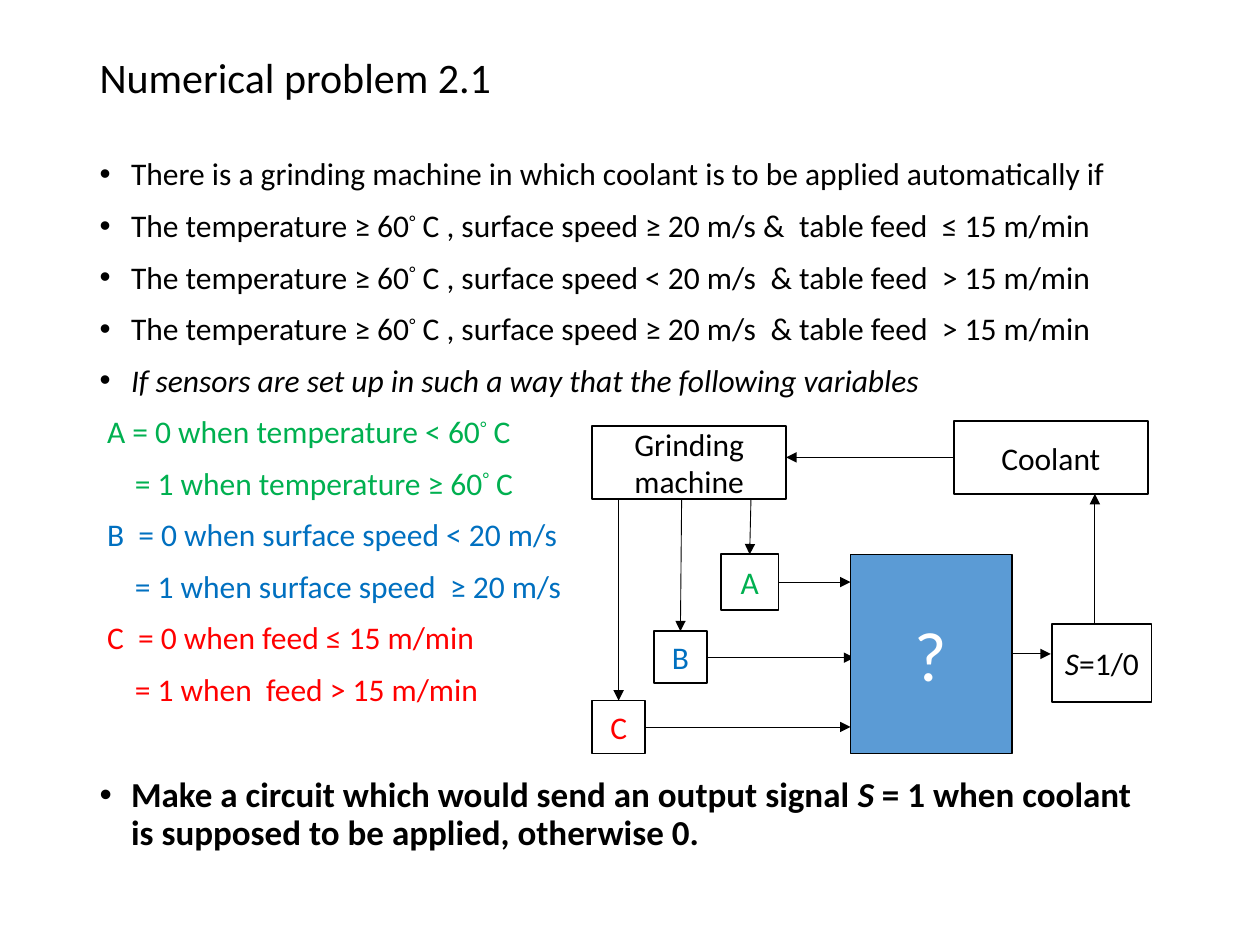
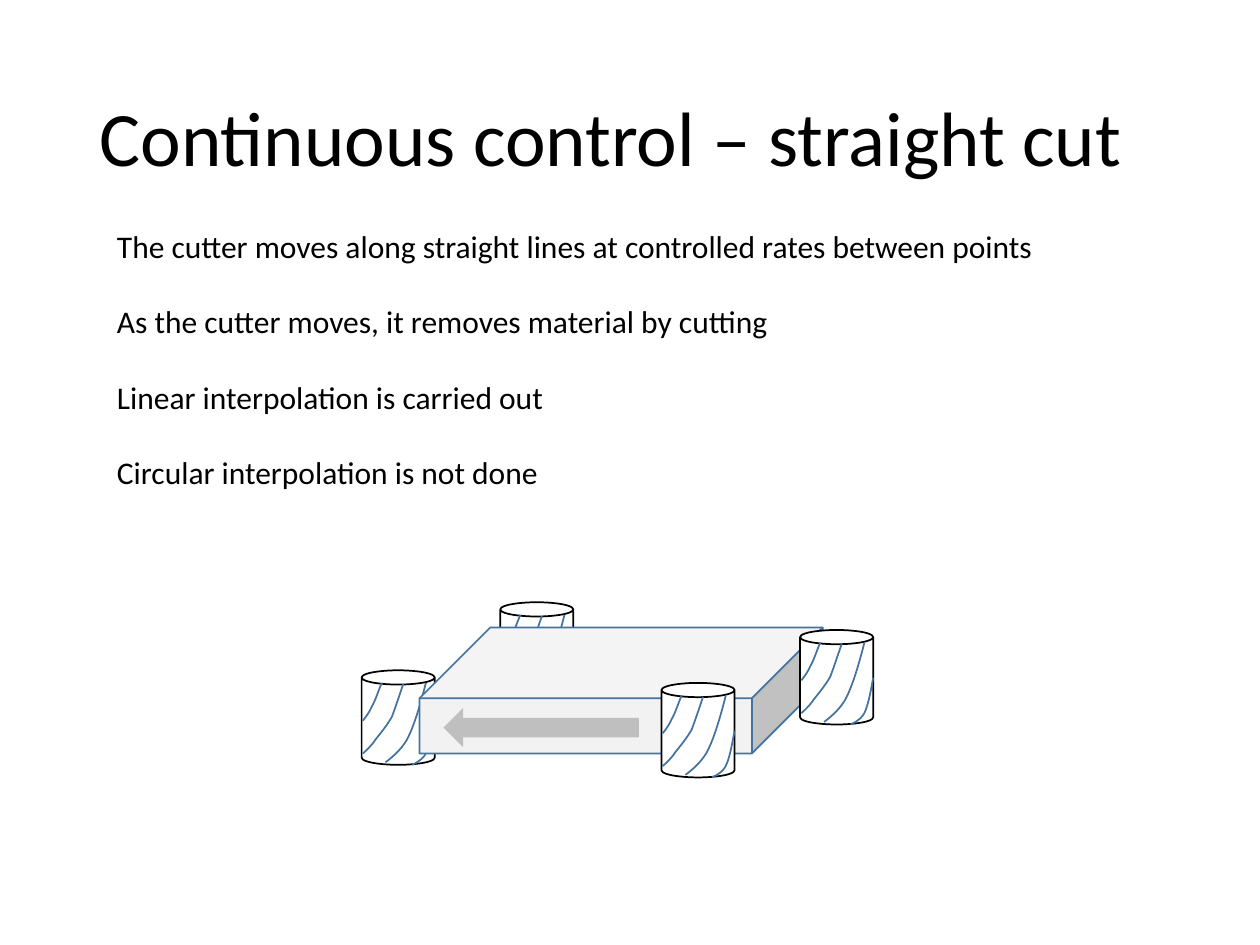
"""Builds two lecture slides: a coolant logic problem and straight-cut control."""
from lxml.etree import SubElement
from pptx import Presentation
from pptx.dml.color import RGBColor
from pptx.enum.shapes import MSO_CONNECTOR, MSO_SHAPE
from pptx.enum.text import MSO_ANCHOR, MSO_AUTO_SIZE, PP_ALIGN
from pptx.oxml.ns import qn
from pptx.util import Emu, Pt

EMU_PER_PX = 9144
FONT = "Calibri"
WIDE_SPACE = "~"
BLACK = RGBColor(0x00, 0x00, 0x00)
WHITE = RGBColor(0xFF, 0xFF, 0xFF)
GREEN = RGBColor(0x00, 0xB0, 0x50)
BLUE = RGBColor(0x00, 0x70, 0xC0)
RED = RGBColor(0xFF, 0x00, 0x00)
PANEL = RGBColor(0x5B, 0x9B, 0xD5)
STEEL = RGBColor(0x43, 0x73, 0x9E)
PALE = RGBColor(0xF2, 0xF2, 0xF2)
GREY = RGBColor(0xBF, 0xBF, 0xBF)

FLUTES = [
    [(16, 10), (13, 17), (11, 24), (8, 29), (6, 34), (1, 40), (1, 40)],
    [(33, 11), (30, 20), (27, 29), (24, 37), (20, 44), (15, 50), (11, 55),
     (8, 60), (1, 66), (1, 66)],
    [(51, 10), (47, 26), (42, 43), (37, 53), (32, 64), (19, 73), (19, 73)],
    [(58, 38), (56, 49), (54, 60), (51, 66), (48, 72), (40, 75), (40, 75)],
]


def px(n):
    return Emu(round(n * EMU_PER_PX))


def add_text(p, text, size=18, color=BLACK, bold=False, italic=False):
    for mark in ("°", WIDE_SPACE):
        text = text.replace(mark, f"|{mark}|")
    for piece in text.split("|"):
        if not piece:
            continue
        r = p.add_run()
        r.text = piece.replace(WIDE_SPACE, " ")
        r.font.name, r.font.size = FONT, Pt(size)
        r.font.bold, r.font.italic = bold, italic
        r.font.color.rgb = color
        if piece == "°":
            r.font._element.set("baseline", "30000")
        elif piece == WIDE_SPACE:
            r.font._element.set("spc", "400")


class Deck:
    """Holds the presentation, its style and the current slide."""

    def __init__(self):
        self.prs = Presentation()
        self.prs.slide_width, self.prs.slide_height = px(1000), px(750)

    def new_slide(self, layout):
        self.s = self.prs.slides.add_slide(self.prs.slide_layouts[layout])

    def place(self, sp, x, y, w, h):
        sp.left, sp.top, sp.width, sp.height = px(x), px(y), px(w), px(h)
        tf = sp.text_frame
        tf.word_wrap, tf.auto_size = True, MSO_AUTO_SIZE.NONE
        return tf

    def title(self, text, size, *at):
        tf = self.place(self.s.shapes.title, *at)
        tf.vertical_anchor = MSO_ANCHOR.MIDDLE
        p = tf.paragraphs[0]
        p.alignment, p.line_spacing = PP_ALIGN.LEFT, 0.9
        add_text(p, text, size)

    def body(self, items, *at):
        tf = self.place(self.s.placeholders[1], *at)
        for i, (runs, indent, before) in enumerate(items):
            p = tf.add_paragraph() if i else tf.paragraphs[0]
            p.line_spacing, p.space_before = 0.9, Pt(before if i else 0)
            pPr = p._p.get_or_add_pPr()
            bulleted = indent is None
            pPr.set("marL", str(px(25 if bulleted else indent)))
            pPr.set("indent", str(px(-25 if bulleted else 0)))
            if bulleted:
                SubElement(pPr, qn("a:buFont")).set("typeface", "Arial")
                SubElement(pPr, qn("a:buChar")).set("char", "•")
            else:
                SubElement(pPr, qn("a:buNone"))
            for text, fmt in runs:
                add_text(p, text, **fmt)

    def text_box(self, lines, gap, *at):
        tf = self.place(self.s.shapes.add_textbox(0, 0, 0, 0), *at)
        for i, line in enumerate(lines):
            p = tf.add_paragraph() if i else tf.paragraphs[0]
            p.space_before = Pt(gap if i else 0)
            add_text(p, line)

    def paint(self, sp, fill, line):
        sp.shadow.inherit = False
        if fill is None:
            sp.fill.background()
        else:
            sp.fill.solid()
            sp.fill.fore_color.rgb = fill
        if line is None:
            sp.line.fill.background()
        else:
            sp.line.color.rgb, sp.line.width = line, Pt(1)

    def shape(self, kind, *at, fill=None, line=BLACK, adj=None):
        sp = self.s.shapes.add_shape(kind, *map(px, at))
        self.paint(sp, fill, line)
        if adj is not None:
            sp.adjustments[0] = adj
        return sp

    def box(self, runs, *at, fill=None):
        tf = self.shape(MSO_SHAPE.RECTANGLE, *at, fill=fill).text_frame
        tf.word_wrap, tf.vertical_anchor = True, MSO_ANCHOR.MIDDLE
        tf.margin_left = tf.margin_right = 0
        p = tf.paragraphs[0]
        p.alignment = PP_ALIGN.CENTER
        for text, fmt in runs:
            add_text(p, text, **fmt)

    def arrow(self, *ends):
        c = self.s.shapes.add_connector(MSO_CONNECTOR.STRAIGHT, *map(px, ends))
        c.line.color.rgb, c.line.width = BLACK, Pt(0.5)
        SubElement(c.line._get_or_add_ln(), qn("a:tailEnd")).set("type", "triangle")
        SubElement(c._element.spPr, qn("a:effectLst"))

    def curve(self, points, x, y):
        spots = [(px(x + dx), px(y + dy)) for dx, dy in points]
        fb = self.s.shapes.build_freeform(*spots[0])
        fb.add_line_segments(spots[1:], close=False)
        sp = fb.convert_to_shape()
        segments = list(sp._element.iter(qn("a:lnTo")))
        outline = segments[0].getparent()
        for i in range(0, len(segments), 3):
            bezier = SubElement(outline, qn("a:cubicBezTo"))
            for segment in segments[i:i + 3]:
                bezier.append(segment[0])
                outline.remove(segment)
        self.paint(sp, None, STEEL)

    def cutter(self, x, y):
        self.shape(MSO_SHAPE.CAN, x, y, 58, 75, fill=WHITE, adj=0.195)
        for flute in FLUTES:
            self.curve(flute, x, y)


def coolant_slide(deck):
    deck.new_slide(1)
    deck.title("Numerical problem 2.1", 24, 69, 18, 401, 91)
    intro = [
        "There is a grinding machine in which coolant is to be applied automatically if",
        "The temperature ≥ 60° C , surface speed ≥ 20 m/s &~table feed~≤ 15 m/min",
        "The temperature ≥ 60° C , surface speed < 20 m/s~& table feed~> 15 m/min",
        "The temperature ≥ 60° C , surface speed ≥ 20 m/s~& table feed~> 15 m/min",
    ]
    variables = [
        ("A = 0 when temperature < 60° C", "= 1 when temperature ≥ 60° C", GREEN),
        ("B~= 0 when surface speed < 20 m/s", "= 1 when surface speed~≥ 20 m/s", BLUE),
        ("C~= 0 when feed ≤ 15 m/min", "= 1 when~feed > 15 m/min", RED),
    ]
    items = [([(line, {})], None, 10) for line in intro]
    items.append(([("If sensors are set up in such a way that the following variables",
                    {"italic": True})], None, 10))
    for low, high, color in variables:
        items.append(([(low, {"color": color})], 6, 10))
        items.append(([(high, {"color": color})], 28, 10))
    strong = {"size": 20, "bold": True}
    items.append(([("Make a circuit which would send an output signal ", strong),
                   ("S", {**strong, "italic": True}),
                   (" = 1 when coolant is supposed to be applied, otherwise 0.", strong)],
                  None, 39.5))
    deck.body(items, 69, 121, 862, 555)

    deck.box([("Grinding machine", {})], 470, 338, 154, 58)
    deck.box([("A", {"color": GREEN})], 572, 440, 46, 44)
    deck.box([("C", {"color": RED})], 470, 556, 42, 42)
    deck.box([("B", {"color": BLUE})], 519, 501, 42, 41)
    for ends in [(596, 397, 595, 440), (541, 396, 540, 501), (491, 396, 491, 556),
                 (618, 462, 675, 462), (561, 522, 678, 522), (512, 577, 675, 577)]:
        deck.arrow(*ends)
    deck.box([("?", {"size": 40, "color": WHITE})], 675, 440, 128, 158, fill=PANEL)
    deck.arrow(803, 519, 834, 519)
    deck.box([("S", {"italic": True}), ("=1/0", {})], 835, 495, 79, 62)
    deck.box([("Coolant", {})], 757, 334, 154, 58)
    deck.arrow(869, 495, 869, 392)
    deck.arrow(757, 363, 624, 363)


def straight_cut_slide(deck):
    deck.new_slide(5)
    deck.title("Continuous control – straight cut", 44, 69, 40, 862, 145)
    deck.text_box([
        "The cutter moves along straight lines at controlled rates between points",
        "As the cutter moves, it removes material by cutting",
        "Linear interpolation is carried out",
        "Circular interpolation is not done",
    ], 21.5, 83, 175, 842, 222)
    for spot in [(397, 478), (287, 532)]:
        deck.cutter(*spot)
    deck.shape(MSO_SHAPE.CUBE, 333, 498, 320, 100, fill=PALE, line=STEEL, adj=0.562)
    for spot in [(525, 542), (635, 500)]:
        deck.cutter(*spot)
    deck.shape(MSO_SHAPE.LEFT_ARROW, 352, 562, 155, 31, fill=GREY, line=None)


def main():
    deck = Deck()
    coolant_slide(deck)
    straight_cut_slide(deck)
    deck.prs.save("out.pptx")


if __name__ == "__main__":
    main()
